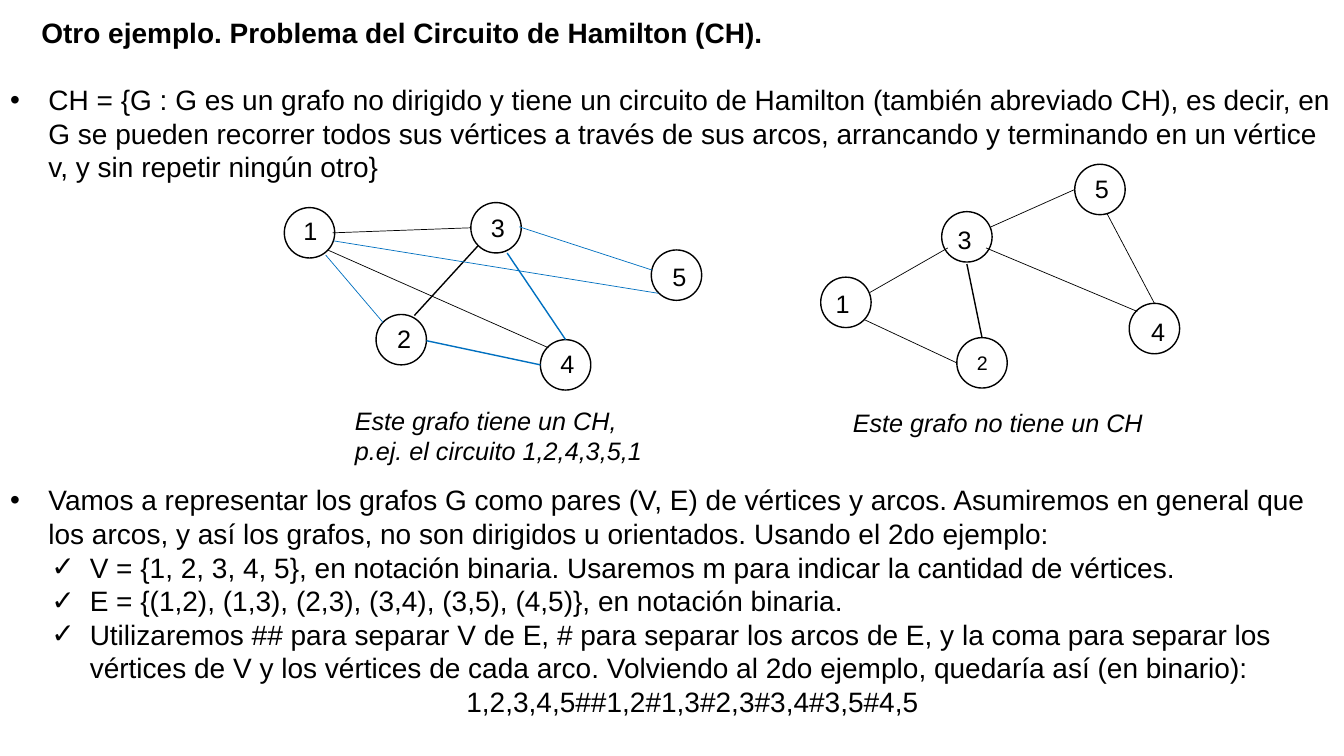
"""Build the slide on the Hamiltonian circuit problem with two example graphs."""
import pptx
import pptx.dml.color
import pptx.enum.shapes
import pptx.enum.text
import pptx.oxml.ns
import pptx.util
from lxml import etree
from pptx.util import Inches

COLORS = {"ink": "000000", "circuit": "0070C0"}
FONT = "Arial"
NODE_SIZE = 0.5

# Vertex: number, circle left and top, label left and top, label size
VERTICES = [
    (1, 2.82, 2.06, 2.91, 2.09, 18),
    (2, 3.73, 3.12, 3.84, 3.16, 18),
    (3, 4.67, 2.01, 4.77, 2.06, 18),
    (4, 5.36, 3.37, 5.46, 3.41, 18),
    (5, 6.46, 2.48, 6.57, 2.54, 18),
    (1, 8.14, 2.75, 8.19, 2.81, 18),
    (2, 9.49, 3.35, 9.59, 3.43, 14),
    (3, 9.34, 2.1, 9.4, 2.18, 18),
    (4, 11.2, 3.01, 11.32, 3.09, 18),
    (5, 10.66, 1.63, 10.76, 1.67, 18),
]

# Edge: start, end, color, width
EDGES = [
    ((3.3, 2.31), (4.67, 2.26), "ink", 0.5),
    ((4.11, 3.13), (4.74, 2.44), "ink", 1),
    ((3.25, 2.48), (5.44, 3.45), "ink", 0.5),
    ((3.23, 2.53), (3.8, 3.2), "circuit", 0.5),
    ((4.23, 3.38), (5.36, 3.62), "circuit", 1),
    ((5.03, 2.51), (5.61, 3.37), "circuit", 1),
    ((5.15, 2.25), (6.47, 2.68), "circuit", 0.5),
    ((3.31, 2.39), (6.53, 2.91), "circuit", 0.5),
    ((8.57, 3.17), (9.49, 3.6), "ink", 0.5),
    ((8.63, 2.9), (9.4, 2.46), "ink", 0.5),
    ((9.59, 2.62), (9.74, 3.35), "ink", 1),
    ((9.78, 2.46), (11.28, 3.09), "ink", 0.5),
    ((9.83, 2.25), (10.66, 1.88), "ink", 0.5),
    ((10.98, 2.12), (11.45, 3.01), "ink", 0.5),
]

DEFINITION = [
    ("CH = {G : G es un grafo no dirigido y tiene un circuito de Hamilton (también abreviado CH), "
     "es decir, en G se pueden recorrer todos sus vértices a través de sus arcos, arrancando y "
     "terminando en un vértice v, y sin repetir ningún otro}", "•"),
]

REPRESENTATION = [
    ("Vamos a representar los grafos G como pares (V, E) de vértices y arcos. Asumiremos en general "
     "que los arcos, y así los grafos, no son dirigidos u orientados. Usando el 2do ejemplo:", "•"),
    ("V = {1, 2, 3, 4, 5}, en notación binaria. Usaremos m para indicar la cantidad de vértices.", "✓"),
    ("E = {(1,2), (1,3), (2,3), (3,4), (3,5), (4,5)}, en notación binaria.", "✓"),
    ("Utilizaremos ## para separar V de E, # para separar los arcos de E, y la coma para separar los "
     "vértices de V y los vértices de cada arco. Volviendo al 2do ejemplo, quedaría así (en binario):",
     "✓"),
    ("1,2,3,4,5##1,2#1,3#2,3#3,4#3,5#4,5", None),
]

# Bullet: level, left margin, first-line indent
INDENTS = {"•": (0, 0.38, -0.38), "✓": (1, 0.79, -0.38), None: (1, 0.41, 0)}


def rgb(name):
    """Return the named color."""
    return pptx.dml.color.RGBColor.from_string(COLORS[name])


def place(shape, left, top, width, height):
    """Move and resize a shape, in inches."""
    shape.left, shape.top = Inches(left), Inches(top)
    shape.width, shape.height = Inches(width), Inches(height)


def style(paragraph, size, bold=False, italic=False):
    """Set the font and spacing of a paragraph."""
    font = paragraph.font
    font.name, font.size = FONT, pptx.util.Pt(size)
    font.bold, font.italic = bold, italic
    font.color.rgb = rgb("ink")
    paragraph.space_before = pptx.util.Pt(0)


def set_bullet(paragraph, bullet):
    """Give a paragraph its level, indent and bullet."""
    level, margin, indent = INDENTS[bullet]
    paragraph.level = level
    properties = paragraph._p.get_or_add_pPr()
    properties.set("marL", str(Inches(margin)))
    properties.set("indent", str(Inches(indent)))
    if bullet:
        etree.SubElement(properties, pptx.oxml.ns.qn("a:buFont"), typeface=FONT)
        etree.SubElement(properties, pptx.oxml.ns.qn("a:buChar"), char=bullet)
    else:
        etree.SubElement(properties, pptx.oxml.ns.qn("a:buNone"))
        paragraph.alignment = pptx.enum.text.PP_ALIGN.CENTER


def fill_title(title, text):
    """Write the slide title."""
    place(title, 0.31, 0.1, 13.02, 0.45)
    title.text_frame.text = text
    title.text_frame.auto_size = pptx.enum.text.MSO_AUTO_SIZE.NONE
    title.text_frame.vertical_anchor = pptx.enum.text.MSO_ANCHOR.TOP
    heading = title.text_frame.paragraphs[0]
    heading.alignment = pptx.enum.text.PP_ALIGN.LEFT
    style(heading, 20, bold=True)


def fill_list(body, top, height, items):
    """Write a bulleted list across the full slide width."""
    place(body, 0, top, 13.33, height)
    frame = body.text_frame
    frame.auto_size = pptx.enum.text.MSO_AUTO_SIZE.NONE
    frame.text = "\n".join(text for text, _ in items)
    for paragraph, (_, bullet) in zip(frame.paragraphs, items):
        style(paragraph, 20)
        set_bullet(paragraph, bullet)


def add_text(slide, text, left, top, width, height, size=18, italic=False):
    """Add a caption or vertex label."""
    box = slide.shapes.add_textbox(Inches(left), Inches(top), Inches(width), Inches(height))
    box.text_frame.word_wrap = False
    box.text_frame.text = text
    for paragraph in box.text_frame.paragraphs:
        style(paragraph, size, italic=italic)


def add_vertex(slide, left, top):
    """Add the circle of a vertex."""
    circle = slide.shapes.add_shape(
        pptx.enum.shapes.MSO_SHAPE.FLOWCHART_CONNECTOR,
        Inches(left), Inches(top), Inches(NODE_SIZE), Inches(NODE_SIZE))
    circle.shadow.inherit = False
    circle.fill.background()
    circle.line.color.rgb = rgb("ink")
    circle.line.width = pptx.util.Pt(1)


def add_edge(slide, start, end, color, width):
    """Add a straight edge between two points."""
    edge = slide.shapes.add_connector(
        pptx.enum.shapes.MSO_CONNECTOR.STRAIGHT, *map(Inches, start + end))
    edge.line.color.rgb = rgb(color)
    edge.line.width = pptx.util.Pt(width)
    etree.SubElement(edge._element.spPr, pptx.oxml.ns.qn("a:effectLst"))


def main():
    """Build and save the slide."""
    deck = pptx.Presentation()
    deck.slide_width, deck.slide_height = Inches(13.33), Inches(7.5)
    slide = deck.slides.add_slide(deck.slide_layouts.get_by_name("Two Content"))
    title, definition, representation = slide.placeholders
    fill_title(title, "Otro ejemplo. Problema del Circuito de Hamilton (CH).")
    fill_list(definition, 0.77, 1.42, DEFINITION)
    fill_list(representation, 4.74, 2.76, REPRESENTATION)
    for _, left, top, *_ in VERTICES:
        add_vertex(slide, left, top)
    for edge in EDGES:
        add_edge(slide, *edge)
    for number, _, _, left, top, size in VERTICES:
        add_text(slide, str(number), left, top, 0.34, 0.4, size)
    add_text(slide, "Este grafo tiene un CH,\np.ej. el circuito 1,2,4,3,5,1",
             3.42, 3.97, 3.15, 0.71, italic=True)
    add_text(slide, "Este grafo no tiene un CH", 8.36, 3.99, 3.11, 0.4, italic=True)
    deck.save("out.pptx")


if __name__ == "__main__":
    main()
